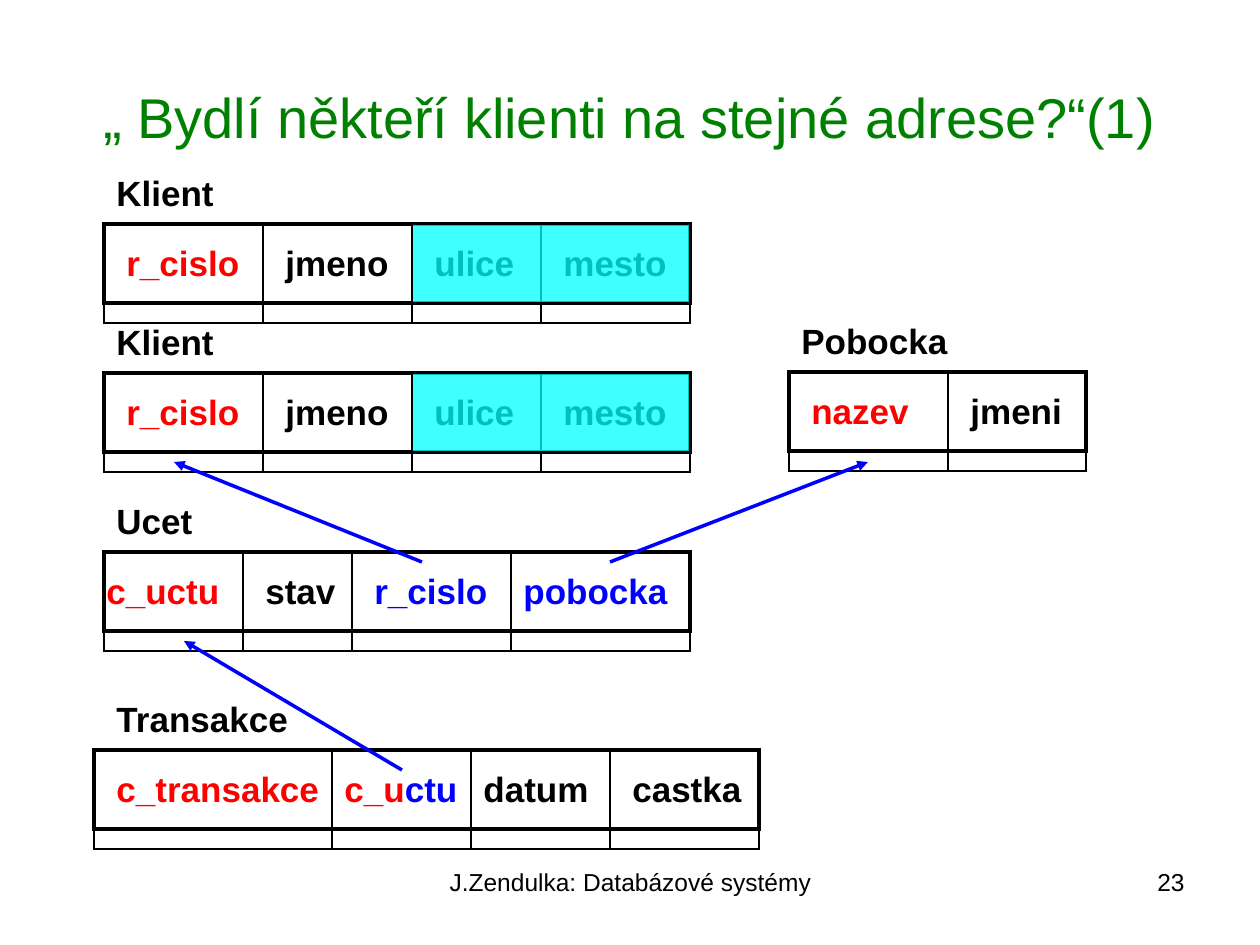
"""Build a slide of linked database tables for a query about client addresses."""
from dataclasses import dataclass

from lxml import etree
from pptx import Presentation
from pptx import util as u
from pptx.dml.color import RGBColor
from pptx.enum import shapes, text
from pptx.oxml.ns import qn

PX = 914400 / 126
TITLE_ONLY = 5
HEADING_DROP, HEAD_HEIGHT, ROW_HEIGHT = 59, 79, 20
LABEL_DROP, LABEL_HEIGHT = 11, 55


@dataclass(frozen=True)
class Theme:
    """Colours, type sizes and line widths of the slide."""
    font: str = "Arial"
    ink: str = "000000"
    title: str = "008000"
    key: str = "FF0000"
    link: str = "0000FF"
    mark: str = "00FFFF"
    mark_alpha: int = 75
    title_size: int = 32
    label_size: int = 20
    footer_size: int = 14
    thin: float = 0.75
    thick: float = 2


THEME = Theme()

CLIENT_COLUMNS = [
    (0, 10, 140, [("r_cislo", THEME.key)]),
    (159, 10, 132, [("jmeno", THEME.ink)]),
    (308, 10, 108, [("ulice", THEME.ink)]),
    (437, 10, 132, [("mesto", THEME.ink)]),
]
BRANCH_COLUMNS = [
    (0, 10, 125, [("nazev", THEME.key)]),
    (159, 10, 119, [("jmeni", THEME.ink)]),
]
ACCOUNT_COLUMNS = [
    (0, -10, 140, [("c_uctu", THEME.key)]),
    (139, 10, 98, [("stav", THEME.ink)]),
    (248, 10, 140, [("r_cislo", THEME.link)]),
    (407, 0, 172, [("pobocka", THEME.link)]),
]
TRANSACTION_COLUMNS = [
    (0, 10, 231, [("c_transakce", THEME.key)]),
    (238, 0, 140, [("c_u", THEME.key), ("ctu", THEME.link)]),
    (377, 0, 133, [("datum", THEME.ink)]),
    (516, 10, 137, [("castka", THEME.ink)]),
]
TABLES = [
    ("Klient", 129, 0, (104, 165, 586), CLIENT_COLUMNS, 2),
    ("Klient", 129, 0, (104, 314, 586), CLIENT_COLUMNS, 2),
    ("Pobocka", 179, 0, (789, 313, 297), BRANCH_COLUMNS, None),
    ("Ucet", 110, 0, (104, 493, 586), ACCOUNT_COLUMNS, None),
    ("Transakce", 208, 10, (94, 691, 665), TRANSACTION_COLUMNS, None),
]
ARROWS = [
    (402, 770, 184, 641),
    (422, 562, 174, 462),
    (610, 562, 868, 462),
]


def scale(*lengths):
    """Turn px lengths into EMU."""
    return [u.Emu(round(length * PX)) for length in lengths]


def apply(target, formats):
    """Set each named attribute of the target."""
    for name, value in formats.items():
        setattr(target, name, value)


def write(frame, spans, size, bold=False, align=text.PP_ALIGN.LEFT):
    """Write one paragraph of coloured spans."""
    para = frame.paragraphs[0]
    para.alignment = align
    for words, color in spans:
        span = para.add_run()
        span.text = words
        apply(span.font, {"name": THEME.font, "size": u.Pt(size), "bold": bold})
        span.font.color.rgb = RGBColor.from_string(color)


def add_label(page, box, spans):
    """Place a bold label on one line."""
    frame = page.shapes.add_textbox(*scale(*box)).text_frame
    apply(frame, {"word_wrap": True, "auto_size": text.MSO_AUTO_SIZE.SHAPE_TO_FIT_TEXT})
    write(frame, spans, THEME.label_size, bold=True)


def add_frame(page, box, width, fill=None):
    """Place a sharp-cornered rectangle, with an optional see-through fill."""
    frame = page.shapes.add_shape(shapes.MSO_SHAPE.RECTANGLE, *scale(*box))
    frame.shadow.inherit = False
    frame.line.color.rgb = RGBColor.from_string(THEME.ink)
    frame.line.width = u.Pt(width)
    etree.SubElement(frame.line._get_or_add_ln(), qn("a:miter"), lim="800000")
    if fill is None:
        frame.fill.background()
        return
    frame.fill.solid()
    frame.fill.fore_color.rgb = RGBColor.from_string(fill)
    color = frame.fill._xPr.find(qn("a:solidFill"))[0]
    etree.SubElement(color, qn("a:alpha"), val=str(THEME.mark_alpha * 1000))


def add_line(page, ends, color, width, arrow=False):
    """Draw a straight line, with an arrowhead at its end if asked."""
    line = page.shapes.add_connector(shapes.MSO_CONNECTOR.STRAIGHT, *scale(*ends))
    line.line.color.rgb = RGBColor.from_string(color)
    line.line.width = u.Pt(width)
    if arrow:
        etree.SubElement(line.line._get_or_add_ln(), qn("a:tailEnd"), type="triangle")
    etree.SubElement(line._element.spPr, qn("a:effectLst"))


def add_title(page, box, words):
    """Move and fill the title placeholder."""
    title = page.shapes.title
    apply(title, dict(zip(("left", "top", "width", "height"), scale(*box))))
    title.text_frame.vertical_anchor = text.MSO_ANCHOR.MIDDLE
    write(title.text_frame, [(words, THEME.title)], THEME.title_size,
          align=text.PP_ALIGN.CENTER)


def add_footer(page, box, words, align):
    """Place one part of the footer."""
    frame = page.shapes.add_textbox(*scale(*box)).text_frame
    frame.word_wrap = True
    write(frame, [(words, THEME.ink)], THEME.footer_size, align=align)


def add_relation(page, name, name_width, indent, box, columns, marked):
    """Draw a named relation with its columns and marked attributes."""
    left, top, width = box
    head = top + HEADING_DROP
    row = head + HEAD_HEIGHT
    add_label(page, (left + indent, top, name_width, LABEL_HEIGHT), [(name, THEME.ink)])
    add_frame(page, (left, head, width, HEAD_HEIGHT), THEME.thick)
    add_frame(page, (left, row, width, ROW_HEIGHT), THEME.thin)
    for start, shift, label_width, spans in columns:
        edge = left + start
        add_label(page, (edge + shift, head + LABEL_DROP, label_width, LABEL_HEIGHT), spans)
        if start:
            add_line(page, (edge, head, edge, row + ROW_HEIGHT), THEME.ink, THEME.thin)
    if marked is not None:
        start = columns[marked][0]
        add_frame(page, (left + start, head, width - start, HEAD_HEIGHT),
                  THEME.thin, THEME.mark)


def main():
    """Build and save the deck."""
    deck = Presentation()
    apply(deck, dict(zip(("slide_width", "slide_height"), scale(1260, 945))))
    page = deck.slides.add_slide(deck.slide_layouts[TITLE_ONLY])
    add_title(page, (63, 37, 1134, 158), "„ Bydlí někteří klienti na stejné adrese?“(1)")
    add_footer(page, (431, 861, 399, 65), "J.Zendulka: Databázové systémy",
               text.PP_ALIGN.CENTER)
    add_footer(page, (903, 861, 294, 65), "23", text.PP_ALIGN.RIGHT)
    for relation in TABLES:
        add_relation(page, *relation)
    for ends in ARROWS:
        add_line(page, ends, THEME.link, THEME.thick, arrow=True)
    deck.save("out.pptx")


if __name__ == "__main__":
    main()
